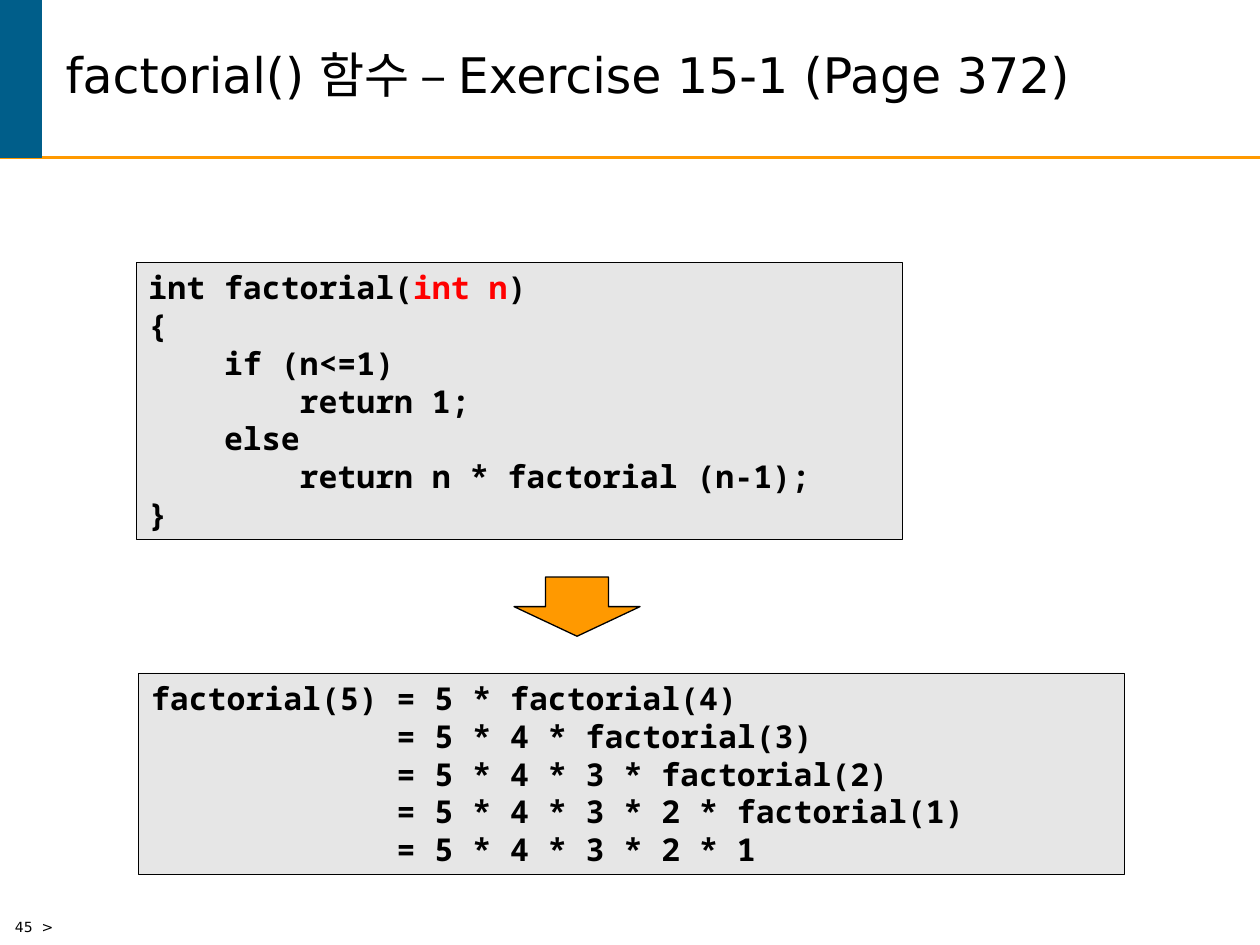
from dataclasses import dataclass
from typing import Any

from lxml import etree
from pptx import Presentation
from pptx import util as u
from pptx.dml import color
from pptx.enum import shapes, text
from pptx.oxml import ns

COLUMNS, ROWS = 20, 15
HEADER_ROWS = 2.5

FACTORIAL_CODE = """int factorial(int n)
{
    if (n<=1)
        return 1;
    else
        return n * factorial (n-1);
}"""

EXPANSION = """factorial(5) = 5 * factorial(4)
             = 5 * 4 * factorial(3)
             = 5 * 4 * 3 * factorial(2)
             = 5 * 4 * 3 * 2 * factorial(1)
             = 5 * 4 * 3 * 2 * 1"""


def rgb(value):
    return color.RGBColor.from_string(value)


@dataclass
class Deck:
    slide: Any
    width: int
    height: int
    ink: str = "000000"
    blue: str = "005E8A"
    orange: str = "FF9900"
    panel: str = "E6E6E6"
    accent: str = "FF0000"
    sans: str = "DejaVu Sans"
    mono: str = "Noto Sans Mono"

    def place(self, column, row, columns, rows):
        cell_w, cell_h = self.width / COLUMNS, self.height / ROWS
        return [round(n) for n in (column * cell_w, row * cell_h,
                                   columns * cell_w, rows * cell_h)]

    def style(self, run, size, name, ink=None, bold=False):
        run.font.size = u.Pt(size)
        run.font.name = name
        run.font.bold = bold
        run.font.color.rgb = rgb(ink or self.ink)

    def title(self, wording, *cells):
        heading = self.slide.shapes.title
        heading.left, heading.top, heading.width, heading.height = self.place(*cells)
        frame = heading.text_frame
        frame.text = wording
        frame.word_wrap = True
        frame.auto_size = text.MSO_AUTO_SIZE.NONE
        frame.vertical_anchor = text.MSO_ANCHOR.MIDDLE
        line = frame.paragraphs[0]
        line.alignment = text.PP_ALIGN.LEFT
        line.line_spacing = 0.85
        self.style(line.runs[0], 28, self.sans)

    def rule(self, row, ink, weight):
        left, top, width, _ = self.place(0, row, COLUMNS, 0)
        rule = self.slide.shapes.add_connector(
            shapes.MSO_CONNECTOR.STRAIGHT, left, top, left + width, top)
        rule.line.color.rgb = rgb(ink)
        rule.line.width = u.Pt(weight)
        etree.SubElement(rule._element.spPr, ns.qn("a:effectLst"))

    def block(self, kind, fill, outline, weight, *cells):
        block = self.slide.shapes.add_shape(kind, *self.place(*cells))
        block.shadow.inherit = False
        block.fill.solid()
        block.fill.fore_color.rgb = rgb(fill)
        block.line.color.rgb = rgb(outline)
        block.line.width = u.Pt(weight)
        return block

    def code(self, listing, *cells, highlight=None):
        frame = self.block(shapes.MSO_SHAPE.RECTANGLE, self.panel, self.ink,
                           0.25, *cells).text_frame
        frame.text = listing
        frame.word_wrap = True
        frame.vertical_anchor = text.MSO_ANCHOR.TOP
        for line in frame.paragraphs:
            line.alignment = text.PP_ALIGN.LEFT
            if highlight and highlight in line.text:
                parts = line.text.partition(highlight)
                line.clear()
                for part in parts:
                    line.add_run().text = part
            for run in line.runs:
                ink = self.accent if run.text == highlight else self.ink
                self.style(run, 18, self.mono, ink, bold=True)

    def label(self, wording, size, *cells):
        frame = self.slide.shapes.add_textbox(*self.place(*cells)).text_frame
        frame.text = wording
        frame.word_wrap = True
        self.style(frame.paragraphs[0].runs[0], size, self.sans)


def main():
    prs = Presentation()
    prs.slide_width, prs.slide_height = u.Inches(10), u.Inches(7.5)
    slide = prs.slides.add_slide(prs.slide_layouts[5])
    deck = Deck(slide, prs.slide_width, prs.slide_height)

    deck.rule(HEADER_ROWS, deck.orange, 1.5)
    deck.block(shapes.MSO_SHAPE.RECTANGLE, deck.blue, deck.blue, 1,
               0, 0, 0.66, HEADER_ROWS)
    deck.title("factorial() 함수 – Exercise 15-1 (Page 372)",
               0.84, 0, 18.66, HEADER_ROWS)
    deck.code(FACTORIAL_CODE, 2.16, 4.16, 12.16, 4.4, highlight="int n")
    deck.block(shapes.MSO_SHAPE.DOWN_ARROW, deck.orange, deck.ink, 0.75,
               8.16, 9.16, 2, 0.94)
    deck.code(EXPANSION, 2.2, 10.68, 15.64, 3.2)
    deck.label("45  >", 8, 0.04, 14.48, 2.8, 0.52)

    prs.save("out.pptx")


if __name__ == "__main__":
    main()
